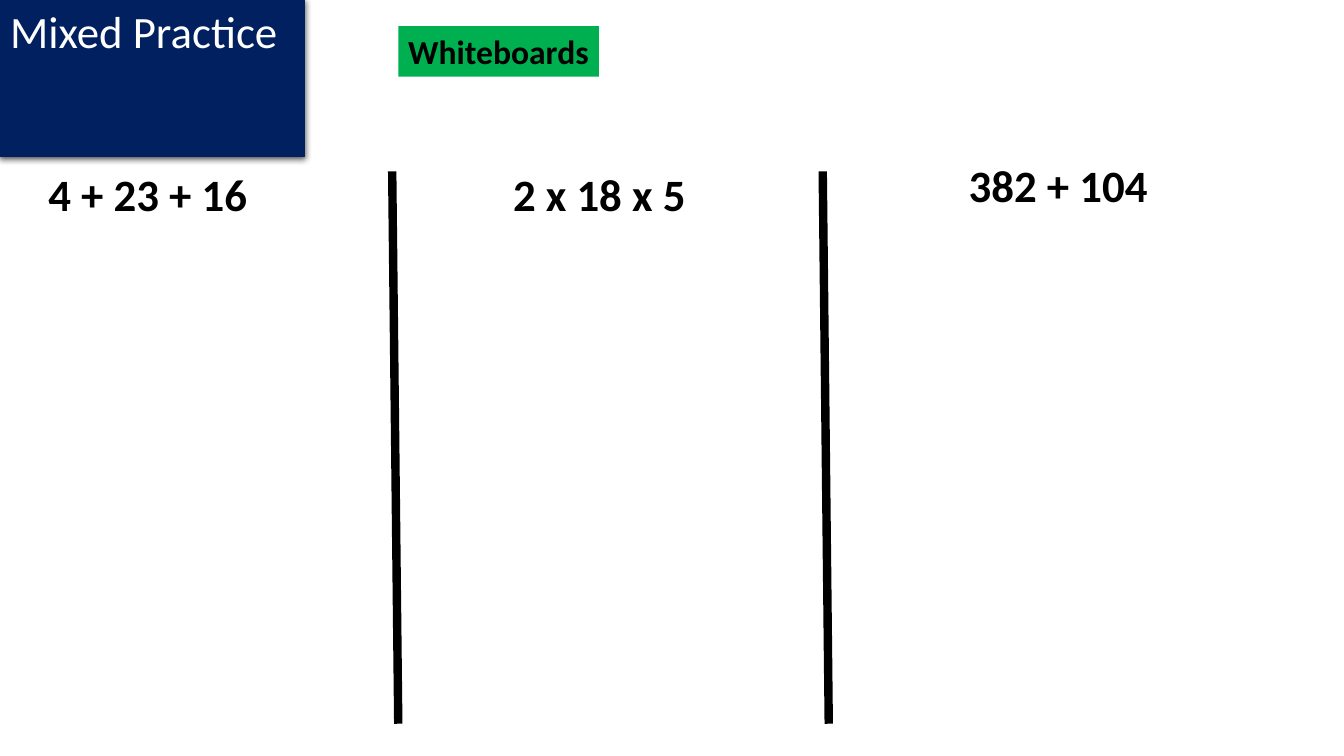
from lxml.etree import SubElement
from pptx import Presentation
from pptx.dml.color import RGBColor
from pptx.enum.shapes import MSO_CONNECTOR, MSO_SHAPE
from pptx.enum.text import MSO_ANCHOR, MSO_AUTO_SIZE, PP_ALIGN
from pptx.oxml import parse_xml
from pptx.oxml.ns import nsdecls, qn
from pptx.util import Pt

PX = 9144
FONT = "Calibri"
COLORS = {"navy": "002060", "green": "00B050", "ink": "000000", "paper": "FFFFFF"}


def color(key):
    return RGBColor.from_string(COLORS[key])


def place(part, box):
    part.left, part.top, part.width, part.height = (n * PX for n in box)


def write(part, words, size, ink, bold=False, wrap=True, fit=MSO_AUTO_SIZE.NONE):
    frame = part.text_frame
    frame.word_wrap = wrap
    frame.auto_size = fit
    frame.vertical_anchor = MSO_ANCHOR.TOP
    paragraph = frame.paragraphs[0]
    paragraph.alignment = PP_ALIGN.LEFT
    run = paragraph.add_run()
    run.text = words
    run.font.name = FONT
    run.font.size = Pt(size)
    run.font.bold = bold
    run.font.color.rgb = color(ink)
    return paragraph


def heading_banner(banner, box, words):
    place(banner, box)
    banner.fill.solid()
    banner.fill.fore_color.rgb = color("navy")
    banner.line.color.rgb = color("navy")
    banner.line.width = Pt(0.75)
    outline = banner.element.spPr
    outline.insert(1, parse_xml(
        f'<a:prstGeom {nsdecls("a")} prst="homePlate"><a:avLst/></a:prstGeom>'))
    outline.append(parse_xml(
        f'<a:effectLst {nsdecls("a")}><a:outerShdw blurRad="57150" dist="19050" '
        f'dir="5400000" algn="ctr" rotWithShape="0"><a:srgbClr val="{COLORS["ink"]}">'
        '<a:alpha val="63000"/></a:srgbClr></a:outerShdw></a:effectLst>'))
    write(banner, words, 32, "paper", wrap=False, fit=MSO_AUTO_SIZE.SHAPE_TO_FIT_TEXT)


def activity_label(slide, box, words):
    label = slide.shapes.add_shape(MSO_SHAPE.RECTANGLE, *(n * PX for n in box))
    label.shadow.inherit = False
    label.fill.solid()
    label.fill.fore_color.rgb = color("green")
    label.line.fill.background()
    write(label, words, 24, "ink", bold=True, fit=MSO_AUTO_SIZE.SHAPE_TO_FIT_TEXT)


def question(holder, box, words):
    place(holder, box)
    paragraph = write(holder, words, 32, "ink", bold=True)
    paragraph.line_spacing = 0.9
    paragraph.space_before = Pt(0)
    properties = paragraph._p.get_or_add_pPr()
    properties.set("marL", "0")
    properties.set("indent", "0")
    SubElement(properties, qn("a:buNone"))


def column_divider(slide, box):
    left, top, width, height = (n * PX for n in box)
    divider = slide.shapes.add_connector(
        MSO_CONNECTOR.STRAIGHT, left, top, left + width, top + height)
    divider.line.color.rgb = color("ink")
    divider.line.width = Pt(6)
    SubElement(divider.element.spPr, qn("a:effectLst"))


def practice_slide(deck):
    slide = deck.slides.add_slide(deck.slide_layouts[1])
    title, first_question = slide.placeholders
    heading_banner(title, (0, -1, 302, 64), "Mixed Practice")
    activity_label(slide, (395, 26, 199, 50), "Whiteboards")
    question(first_question, (38, 166, 977, 72), "4 + 23 + 16")
    for words, box in (("2 x 18 x 5", (499, 166, 247, 69)),
                       ("382 + 104", (951, 158, 247, 69))):
        question(slide.shapes.add_textbox(0, 0, 0, 0), box, words)
    for left in (389, 816):
        column_divider(slide, (left, 170, 6, 548))


def main():
    deck = Presentation()
    deck.slide_width = 1333 * PX
    deck.slide_height = 750 * PX
    practice_slide(deck)
    deck.save("out.pptx")


if __name__ == "__main__":
    main()
